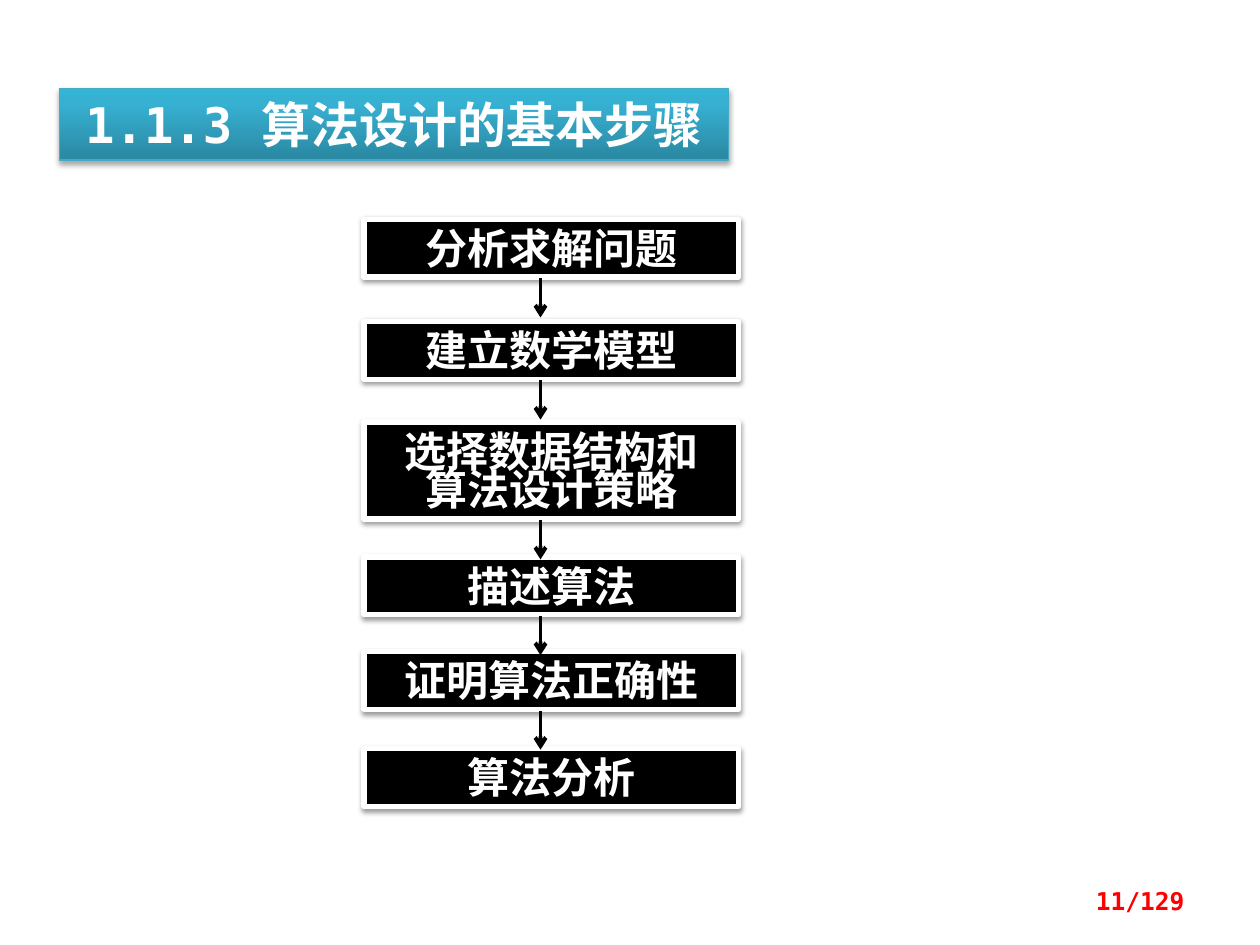
from lxml.etree import SubElement
from copy import deepcopy
from pptx import Presentation
from pptx.dml.color import RGBColor
from pptx.enum.shapes import MSO_CONNECTOR as CONN, MSO_SHAPE as SHAPE
from pptx.enum.text import MSO_ANCHOR as ANCHOR, MSO_AUTO_SIZE as AUTO, PP_ALIGN as ALIGN
from pptx.oxml.ns import qn
from pptx.util import Inches, Pt

MONO = "DejaVu Sans Mono"
SANS = "Noto Sans CJK SC"
STEPS = [
    (1.74, 0.46, ["分析求解问题"]),
    (2.55, 0.46, ["建立数学模型"]),
    (3.35, 0.77, ["选择数据结构和", "算法设计策略"]),
    (4.42, 0.46, ["描述算法"]),
    (5.17, 0.46, ["证明算法正确性"]),
    (5.94, 0.46, ["算法分析"]),
]


def rgb(value):
    """Turn a hex string into a colour."""
    return RGBColor.from_string(value)


def add_run(p, text, size, font, color):
    """Add a bold run with Latin and East Asian fonts."""
    r = p.add_run()
    r.text = text
    r.font.size = Pt(size)
    r.font.bold = True
    r.font.name = font
    r.font.color.rgb = rgb(color)
    SubElement(r.font._element, qn("a:ea"), typeface=SANS)


def set_shadow(sp, alpha, dist):
    """Give a shape a soft black shadow straight below it."""
    sp.shadow.inherit = False
    effects = sp._element.spPr.find(qn("a:effectLst"))
    shadow = SubElement(effects, qn("a:outerShdw"), blurRad=str(Pt(3.1)),
                        dist=str(Pt(dist)), dir="5400000", rotWithShape="0")
    color = SubElement(shadow, qn("a:srgbClr"), val="000000")
    SubElement(color, qn("a:alpha"), val=str(alpha * 1000))


def set_gradient(sp, stops, angle):
    """Fill a shape with a linear gradient of three stops."""
    sp.fill.gradient()
    sp.fill.gradient_angle = angle
    stop_list = sp._element.spPr.find(qn("a:gradFill")).find(qn("a:gsLst"))
    stop_list.append(deepcopy(stop_list[-1]))
    for stop, (position, color) in zip(sp.fill.gradient_stops, stops):
        stop.position = position
        stop.color.rgb = rgb(color)


def format_title(sp, text):
    """Place the title and turn it into a blue banner."""
    sp.left, sp.top, sp.width, sp.height = map(Inches, (0.47, 0.7, 5.31, 0.57))
    set_gradient(sp, [(0, "2A88A2"), (0.8, "37B1D2"), (1, "34B4D6")], 90)
    sp.line.color.rgb = rgb("46AAC5")
    sp.line.width = Pt(0.75)
    set_shadow(sp, 35, 1.8)
    tf = sp.text_frame
    tf.auto_size = AUTO.NONE
    tf.vertical_anchor = ANCHOR.MIDDLE
    p = tf.paragraphs[0]
    p.alignment = ALIGN.CENTER
    add_run(p, text, 28, MONO, "FFFFFF")


def add_step(s, top, height, lines):
    """Add a black step box with one paragraph per line."""
    sp = s.shapes.add_shape(SHAPE.RECTANGLE, Inches(2.89), Inches(top), Inches(2.97), Inches(height))
    sp.fill.solid()
    sp.fill.fore_color.rgb = rgb("000000")
    sp.line.color.rgb = rgb("FFFFFF")
    sp.line.width = Pt(3)
    set_shadow(sp, 38, 1.6)
    tf = sp.text_frame
    tf.word_wrap = True
    tf.vertical_anchor = ANCHOR.TOP
    tf.margin_left = tf.margin_right = 0
    tf.margin_top = tf.margin_bottom = Inches(0.12)
    for i, line in enumerate(lines):
        p = tf.add_paragraph() if i else tf.paragraphs[0]
        p.alignment = ALIGN.CENTER
        p.line_spacing = Pt(22)
        add_run(p, line, 24, SANS, "FFFFFF")


def add_arrow(s, top):
    """Add a short arrow pointing down to the next step."""
    x = Inches(4.29)
    line = s.shapes.add_connector(CONN.STRAIGHT, x, Inches(top), x, Inches(top + 0.31))
    line.line.color.rgb = rgb("000000")
    line.line.width = Pt(2.25)
    SubElement(line.line._get_or_add_ln(), qn("a:tailEnd"), type="arrow")
    SubElement(line._element.spPr, qn("a:effectLst"))


def add_page_number(s, text):
    """Add the red page number at the bottom right."""
    sp = s.shapes.add_textbox(Inches(7.17), Inches(6.95), Inches(2.33), Inches(0.4))
    tf = sp.text_frame
    tf.word_wrap = True
    tf.vertical_anchor = ANCHOR.MIDDLE
    p = tf.paragraphs[0]
    p.alignment = ALIGN.RIGHT
    add_run(p, text, 14, MONO, "FF0000")


def main():
    """Build the slide and save it."""
    prs = Presentation()
    prs.slide_width, prs.slide_height = Inches(10), Inches(7.5)
    s = prs.slides.add_slide(prs.slide_layouts[5])
    format_title(s.shapes.title, "1.1.3 算法设计的基本步骤")
    for top, height, lines in STEPS:
        add_step(s, top, height, lines)
    for top, height, _ in STEPS[:-1]:
        add_arrow(s, top + height + 0.01)
    add_page_number(s, "11/129")
    prs.save("out.pptx")


if __name__ == "__main__":
    main()
